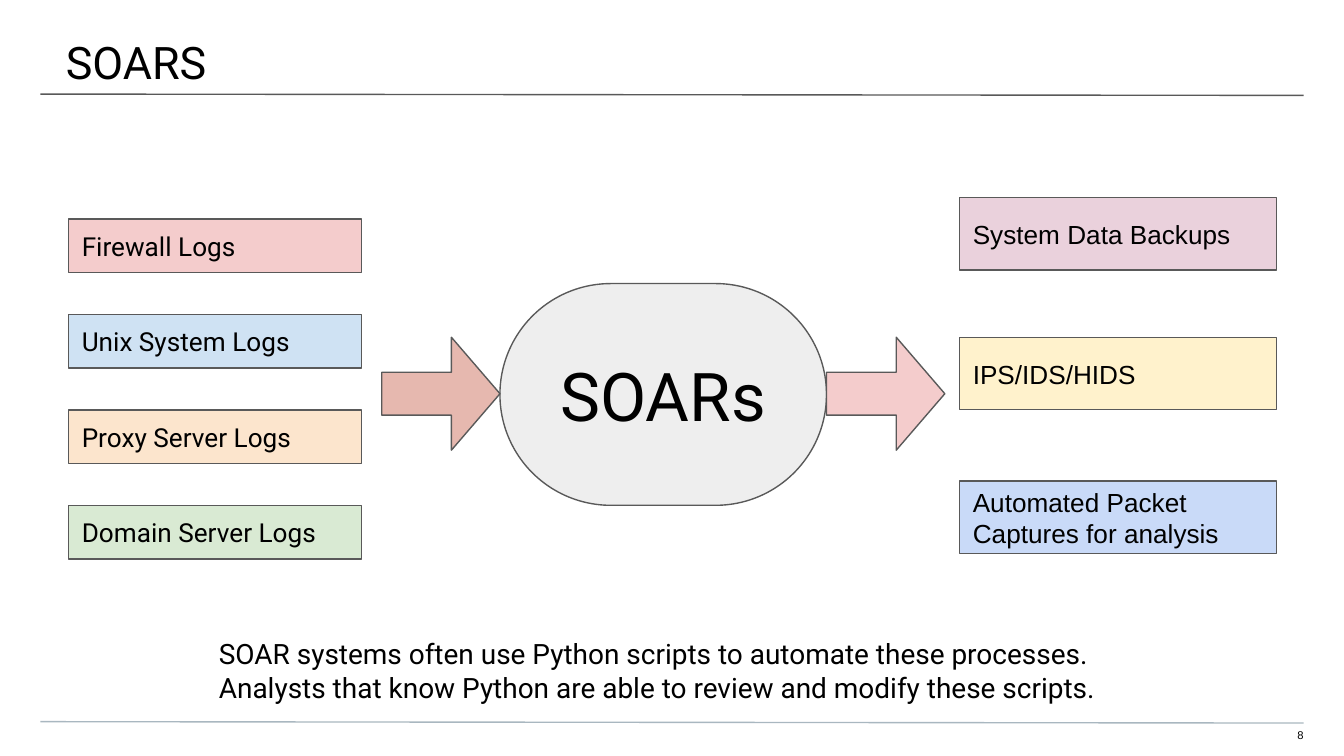
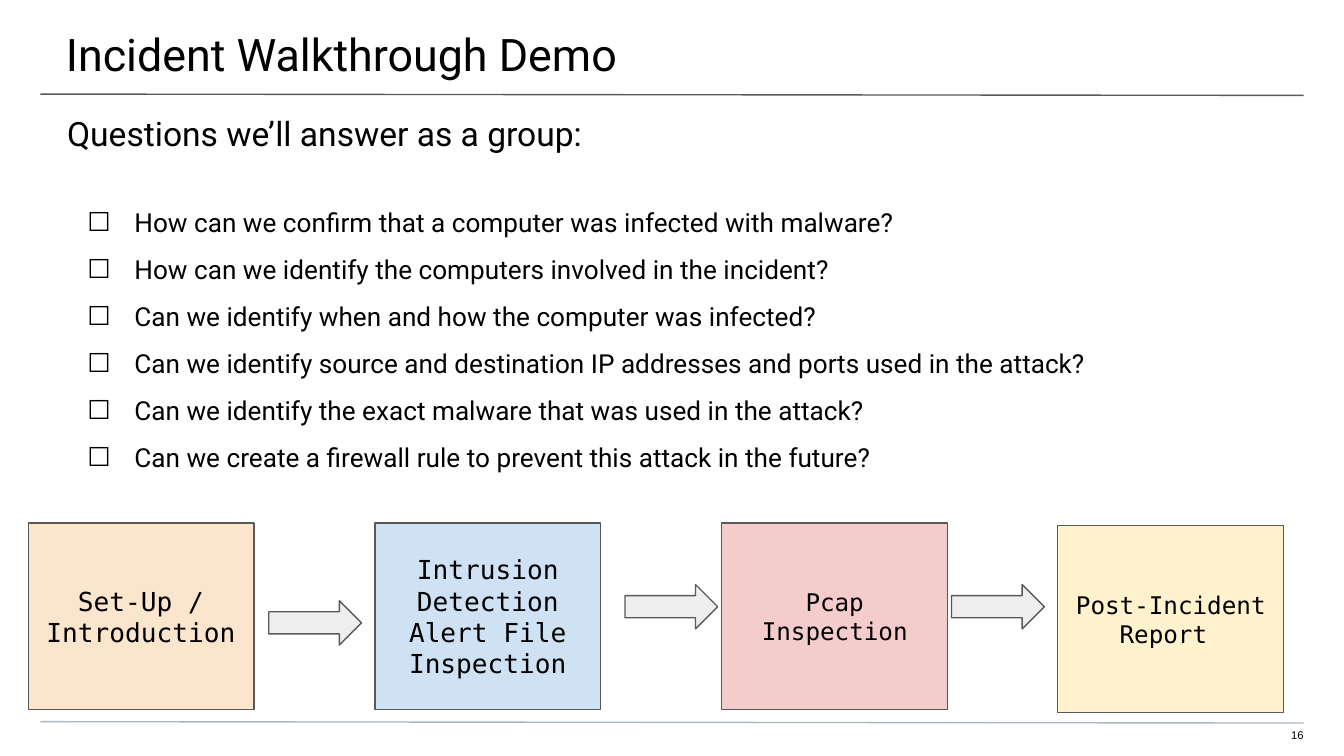
from dataclasses import dataclass

from lxml import etree
from pptx import Presentation
from pptx.dml.color import RGBColor
from pptx.enum.shapes import MSO_CONNECTOR, MSO_SHAPE
from pptx.enum.text import MSO_ANCHOR, MSO_AUTO_SIZE, PP_ALIGN
from pptx.oxml.ns import qn
from pptx.util import Inches, Pt

RECT = MSO_SHAPE.RECTANGLE
ARROW = MSO_SHAPE.RIGHT_ARROW
PILL = MSO_SHAPE.ROUND_2_SAME_RECTANGLE
STRAIGHT = MSO_CONNECTOR.STRAIGHT
TOP, MIDDLE = MSO_ANCHOR.TOP, MSO_ANCHOR.MIDDLE
LEFT, CENTER, RIGHT = PP_ALIGN.LEFT, PP_ALIGN.CENTER, PP_ALIGN.RIGHT
TITLE_ONLY = 5


@dataclass(frozen=True)
class Theme:
    # Fonts
    sans: str = "Roboto"
    plain: str = "Arial"
    mono: str = "DejaVu Sans Mono"
    # Colours
    text: str = "000000"
    outline: str = "595959"
    footer_rule: str = "A9B7C0"
    gray: str = "EEEEEE"
    pink: str = "F4CCCC"
    rose: str = "E6B8AF"
    blue: str = "CFE2F3"
    periwinkle: str = "C9DAF8"
    orange: str = "FCE5CD"
    green: str = "D9EAD3"
    mauve: str = "EAD1DC"
    yellow: str = "FFF2CC"
    # Sizes in points
    hub_size: int = 36
    title_size: int = 24
    subtitle_size: int = 18
    caption_size: int = 15
    body_size: int = 14
    small_size: int = 13
    page_size: int = 6
    line_width: float = 0.75


T = Theme()


@dataclass(frozen=True)
class Box:
    text: str
    left: float
    top: float
    width: float
    height: float
    fill: str
    font: str = T.sans
    size: int = T.body_size
    align: PP_ALIGN = LEFT
    kind: MSO_SHAPE = RECT
    adjustments: tuple = ()


def set_text(shape, text: str, *, font: str = T.sans, size: int = T.body_size,
             align: PP_ALIGN = LEFT, anchor: MSO_ANCHOR = TOP,
             insets: tuple = (0.1, 0.1, 0.1, 0.1),
             line_spacing: float = 1.0, bullet: str = "") -> None:
    """Fill a shape with one paragraph per line of text."""
    tf = shape.text_frame
    tf.word_wrap = True
    tf.auto_size = MSO_AUTO_SIZE.NONE
    tf.vertical_anchor = anchor
    tf.margin_left, tf.margin_top, tf.margin_right, tf.margin_bottom = map(Inches, insets)
    for i, line in enumerate(text.split("\n")):
        p = tf.paragraphs[0] if i == 0 else tf.add_paragraph()
        p.alignment = align
        p.line_spacing = line_spacing
        if bullet:
            add_bullet(p, bullet)
        r = p.add_run()
        r.text = line
        r.font.name = font
        r.font.size = Pt(size)
        r.font.color.rgb = RGBColor.from_string(T.text)


def add_bullet(p, char: str) -> None:
    pPr = p._p.get_or_add_pPr()
    pPr.set("marL", str(Inches(0.5)))
    pPr.set("indent", str(Inches(-0.35)))
    color = etree.SubElement(pPr, qn("a:buClr"))
    etree.SubElement(color, qn("a:srgbClr"), val=T.text)
    etree.SubElement(pPr, qn("a:buFont"), typeface=T.sans)
    etree.SubElement(pPr, qn("a:buChar"), char=char)


def add_text(s, text: str, left: float, top: float, width: float, height: float,
             **text_format) -> None:
    tb = s.shapes.add_textbox(*map(Inches, (left, top, width, height)))
    set_text(tb, text, **text_format)


def add_box(s, box: Box) -> None:
    sp = s.shapes.add_shape(
        box.kind, *map(Inches, (box.left, box.top, box.width, box.height)))
    sp.shadow.inherit = False
    sp.fill.solid()
    sp.fill.fore_color.rgb = RGBColor.from_string(box.fill)
    sp.line.color.rgb = RGBColor.from_string(T.outline)
    sp.line.width = Pt(T.line_width)
    for i, value in enumerate(box.adjustments):
        sp.adjustments[i] = value
    if box.text:
        set_text(sp, box.text, font=box.font, size=box.size, align=box.align, anchor=MIDDLE)


def add_rule(s, top: float, color: str) -> None:
    ln = s.shapes.add_connector(
        STRAIGHT, Inches(0.3), Inches(top), Inches(9.7), Inches(top + 0.01))
    ln.line.color.rgb = RGBColor.from_string(color)
    ln.line.width = Pt(T.line_width)
    etree.SubElement(ln._element.spPr, qn("a:effectLst"))


def new_slide(prs, title: str, page: int, title_top: float):
    """Add a slide with its title, two rules and page number."""
    s = prs.slides.add_slide(prs.slide_layouts[TITLE_ONLY])
    add_rule(s, 0.7, T.outline)
    add_rule(s, 5.37, T.footer_rule)
    sp = s.shapes.title
    sp.left, sp.top, sp.width, sp.height = map(Inches, (-0.01, title_top, 10.03, 0.58))
    set_text(sp, title, size=T.title_size, insets=(0.5, 0.2, 0.3, 0.1))
    add_text(s, str(page), 9.41, 5.42, 0.29, 0.12, font=T.plain, size=T.page_size,
             align=RIGHT, insets=(0, 0, 0, 0.1))
    return s


def build_soars(prs) -> None:
    s = new_slide(prs, "SOARS", 8, 0.06)

    # Log sources
    logs = [("Firewall Logs", T.pink), ("Unix System Logs", T.blue),
            ("Proxy Server Logs", T.orange), ("Domain Server Logs", T.green)]
    for i, (text, fill) in enumerate(logs):
        add_box(s, Box(text, 0.51, 1.63 + 0.71 * i, 2.18, 0.4, fill))

    # Central system
    add_box(s, Box("SOARs", 3.72, 2.11, 2.43, 1.65, T.gray, size=T.hub_size,
                   align=CENTER, kind=PILL, adjustments=(0.5, 0.5)))

    # Automated results
    results = [("System Data Backups", 1.47, T.mauve), ("IPS/IDS/HIDS", 2.51, T.yellow),
               ("Automated Packet Captures for analysis", 3.58, T.periwinkle)]
    for text, top, fill in results:
        add_box(s, Box(text, 7.14, top, 2.36, 0.54, fill, font=T.plain))

    # Flow in and out
    for left, fill in ((2.84, T.rose), (6.15, T.pink)):
        add_box(s, Box("", left, 2.51, 0.88, 0.84, fill, kind=ARROW,
                       adjustments=(0.38, 0.43)))

    add_text(s, "SOAR systems often use Python scripts to automate these processes.\n"
                "Analysts that know Python are able to review and modify these scripts.",
             1.53, 4.64, 7.88, 0.54, size=T.caption_size)


def build_walkthrough(prs) -> None:
    s = new_slide(prs, "Incident Walkthrough Demo", 16, 0)
    add_text(s, "Questions we’ll answer as a group:", 0, 0.74, 10, 0.4,
             size=T.subtitle_size, insets=(0.5, 0.1, 0.5, 0))

    # Checklist
    questions = [
        "How can we confirm that a computer was infected with malware?",
        "How can we identify the computers involved in the incident?",
        "Can we identify when and how the computer was infected?",
        "Can we identify source and destination IP addresses and ports used in the attack?",
        "Can we identify the exact malware that was used in the attack?",
        "Can we create a firewall rule to prevent this attack in the future?",
    ]
    add_text(s, "\n".join(questions), 0, 1.42, 10, 3.96, insets=(0.5, 0, 0.5, 1),
             line_spacing=1.5, bullet="☐")

    # Stages
    stages = [
        ("Set-Up / Introduction", 0.21, 3.89, T.orange, T.body_size),
        ("Intrusion Detection Alert File Inspection", 2.79, 3.89, T.blue, T.body_size),
        ("Pcap Inspection", 5.37, 3.89, T.pink, T.small_size),
        ("Post-Incident Report ", 7.87, 3.91, T.yellow, T.small_size),
    ]
    for text, left, top, fill, size in stages:
        add_box(s, Box(text, left, top, 1.68, 1.39, fill, T.mono, size, CENTER))

    # Arrows between stages
    for left, top in ((2, 4.47), (4.65, 4.35), (7.08, 4.35)):
        add_box(s, Box("", left, top, 0.69, 0.33, T.gray, kind=ARROW,
                       adjustments=(0.5, 0.5)))


def main() -> None:
    prs = Presentation()
    # Widescreen, 16:9
    prs.slide_width = Inches(10)
    prs.slide_height = Inches(10 * 9 / 16)
    build_soars(prs)
    build_walkthrough(prs)
    prs.save("out.pptx")


if __name__ == "__main__":
    main()
